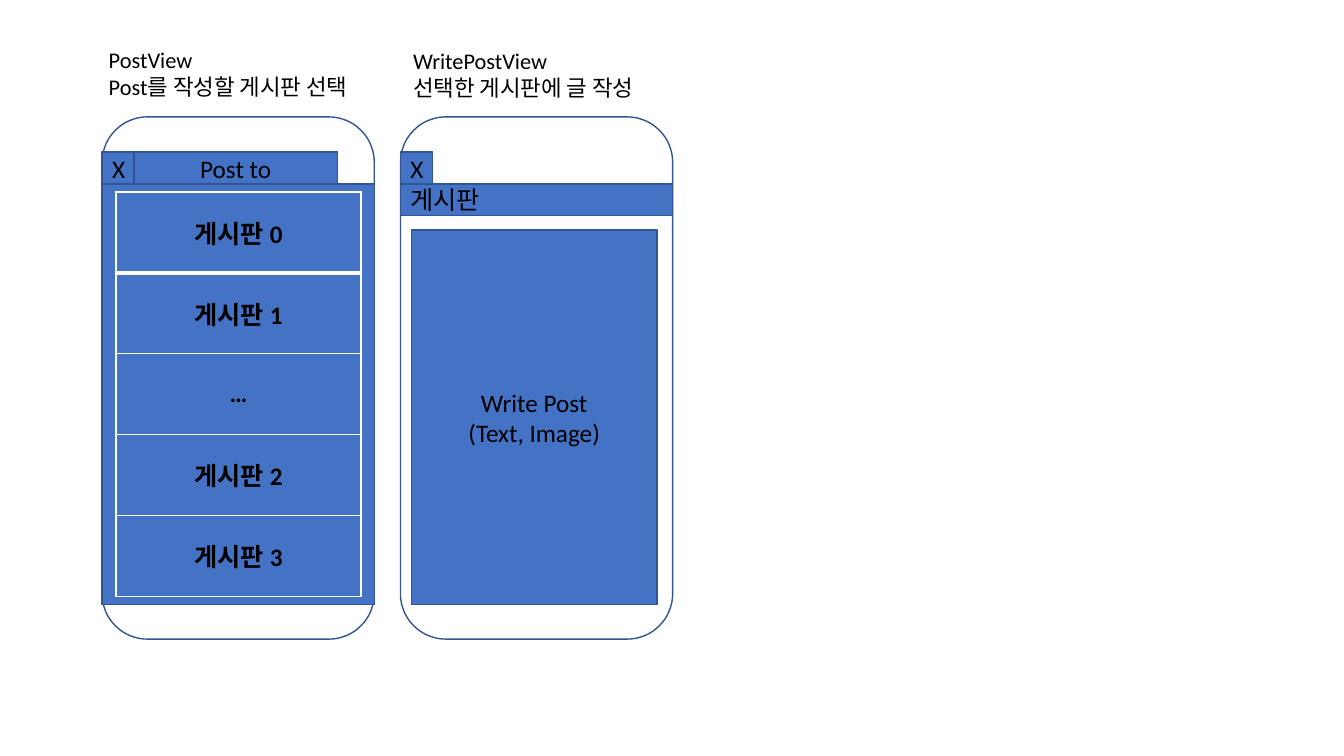
from dataclasses import dataclass

from lxml.etree import SubElement
from pptx import Presentation
from pptx.dml.color import RGBColor
from pptx.enum.shapes import MSO_SHAPE
from pptx.enum.text import MSO_ANCHOR, MSO_AUTO_SIZE, PP_ALIGN
from pptx.oxml.ns import qn
from pptx.slide import Slide
from pptx.table import _Cell
from pptx.text.text import TextFrame
from pptx.util import Emu, Inches, Pt


@dataclass(frozen=True)
class Theme:
    fill: str = "4472C4"
    outline: str = "325491"
    ink: str = "000000"
    grid: str = "FFFFFF"
    font: str = "Calibri"
    body: int = 18
    caption: int = 16
    rule: int = 1
    header_rule: int = 3


@dataclass(frozen=True)
class Box:
    """An area in percent of the slide's width and height."""
    left: float
    top: float
    width: float
    height: float

    def emu(self) -> tuple[Emu, Emu, Emu, Emu]:
        return (Emu(round(SLIDE_W * self.left / 100)), Emu(round(SLIDE_H * self.top / 100)),
                Emu(round(SLIDE_W * self.width / 100)), Emu(round(SLIDE_H * self.height / 100)))


@dataclass(frozen=True)
class Panel:
    box: Box
    text: str = ""
    align: PP_ALIGN = PP_ALIGN.CENTER


@dataclass(frozen=True)
class Screen:
    left: float
    caption: str
    caption_box: Box
    panels: tuple[Panel, ...]


THEME = Theme()
SLIDE_W, SLIDE_H = Inches(13.33), Inches(7.5)

# Shared columns and rows of the two phones
PHONE_TOP, PHONE_W, PHONE_H = 15.47, 20.25, 69.07
POST_X, WRITE_X = 7.6, 29.8
BAR_TOP, BAR_H, CLOSE_W = 20.13, 4.2, 2.36
CONTENT_TOP, CONTENT_BOTTOM = BAR_TOP + BAR_H, 80
EDITOR_TOP = 30.4

SCREENS = (
    Screen(POST_X, "PostView\nPost를 작성할 게시판 선택", Box(7.35, 5.47, 20.7, 8.53), (
        Panel(Box(POST_X + CLOSE_W, BAR_TOP, 15.15, BAR_H), "Post to"),
        Panel(Box(POST_X, BAR_TOP, CLOSE_W, BAR_H), "X"),
        Panel(Box(POST_X, CONTENT_TOP, PHONE_W, CONTENT_BOTTOM - CONTENT_TOP)),
    )),
    Screen(WRITE_X, "WritePostView\n선택한 게시판에 글 작성", Box(30, 5.6, 19.5, 8.53), (
        Panel(Box(WRITE_X, BAR_TOP, CLOSE_W, BAR_H), "X"),
        Panel(Box(WRITE_X, CONTENT_TOP, PHONE_W, BAR_H), "게시판", PP_ALIGN.LEFT),
        Panel(Box(30.6, EDITOR_TOP, 18.3, CONTENT_BOTTOM - EDITOR_TOP),
              "Write Post\n(Text, Image)"),
    )),
)
BOARDS = ("게시판 0", "게시판 1", "…", "게시판 2", "게시판 3")
BOARD_LIST = Box(8.63, 25.4, 18.23, 53.47)


def write(frame: TextFrame, text: str, size: int, align: PP_ALIGN, bold: bool = False) -> None:
    frame.text = text
    for paragraph in frame.paragraphs:
        paragraph.alignment = align
        paragraph.font.name = THEME.font
        paragraph.font.size = Pt(size)
        paragraph.font.bold = bold
        paragraph.font.color.rgb = RGBColor.from_string(THEME.ink)


def draw_panel(slide: Slide, panel: Panel, kind: MSO_SHAPE = MSO_SHAPE.RECTANGLE) -> None:
    shape = slide.shapes.add_shape(kind, *panel.box.emu())
    shape.shadow.inherit = False
    shape.line.color.rgb = RGBColor.from_string(THEME.outline)
    shape.line.width = Pt(THEME.rule)
    if kind == MSO_SHAPE.ROUNDED_RECTANGLE:
        shape.fill.background()
    else:
        shape.fill.solid()
        shape.fill.fore_color.rgb = RGBColor.from_string(THEME.fill)
    if panel.text:
        shape.text_frame.vertical_anchor = MSO_ANCHOR.MIDDLE
        write(shape.text_frame, panel.text, THEME.body, panel.align)


def draw_screen(slide: Slide, screen: Screen) -> None:
    phone = Panel(Box(screen.left, PHONE_TOP, PHONE_W, PHONE_H))
    draw_panel(slide, phone, MSO_SHAPE.ROUNDED_RECTANGLE)
    for panel in screen.panels:
        draw_panel(slide, panel)
    caption = slide.shapes.add_textbox(*screen.caption_box.emu()).text_frame
    caption.word_wrap = False
    caption.auto_size = MSO_AUTO_SIZE.SHAPE_TO_FIT_TEXT
    write(caption, screen.caption, THEME.caption, PP_ALIGN.LEFT)


def set_border(cell: _Cell, side: str, width: int) -> None:
    line = SubElement(cell._tc.get_or_add_tcPr(), qn(f"a:ln{side}"), w=str(Pt(width)))
    SubElement(SubElement(line, qn("a:solidFill")), qn("a:srgbClr"), val=THEME.grid)


def draw_boards(slide: Slide) -> None:
    table = slide.shapes.add_table(len(BOARDS), 1, *BOARD_LIST.emu()).table
    table.horz_banding = False
    for index, board in enumerate(BOARDS):
        cell = table.cell(index, 0)
        cell.vertical_anchor = MSO_ANCHOR.MIDDLE
        write(cell.text_frame, board, THEME.body, PP_ALIGN.CENTER, bold=True)
        # The rule under the first board is heavier
        top = THEME.header_rule if index == 1 else THEME.rule
        bottom = THEME.header_rule if index == 0 else THEME.rule
        for side, width in (("L", THEME.rule), ("R", THEME.rule), ("T", top), ("B", bottom)):
            set_border(cell, side, width)
        cell.fill.solid()
        cell.fill.fore_color.rgb = RGBColor.from_string(THEME.fill)


def main() -> None:
    deck = Presentation()
    deck.slide_width, deck.slide_height = SLIDE_W, SLIDE_H
    slide = deck.slides.add_slide(deck.slide_layouts.get_by_name("Blank"))
    # Phone screens with their captions
    for screen in SCREENS:
        draw_screen(slide, screen)
    # Board list on the first phone
    draw_boards(slide)
    deck.save("out.pptx")


if __name__ == "__main__":
    main()
